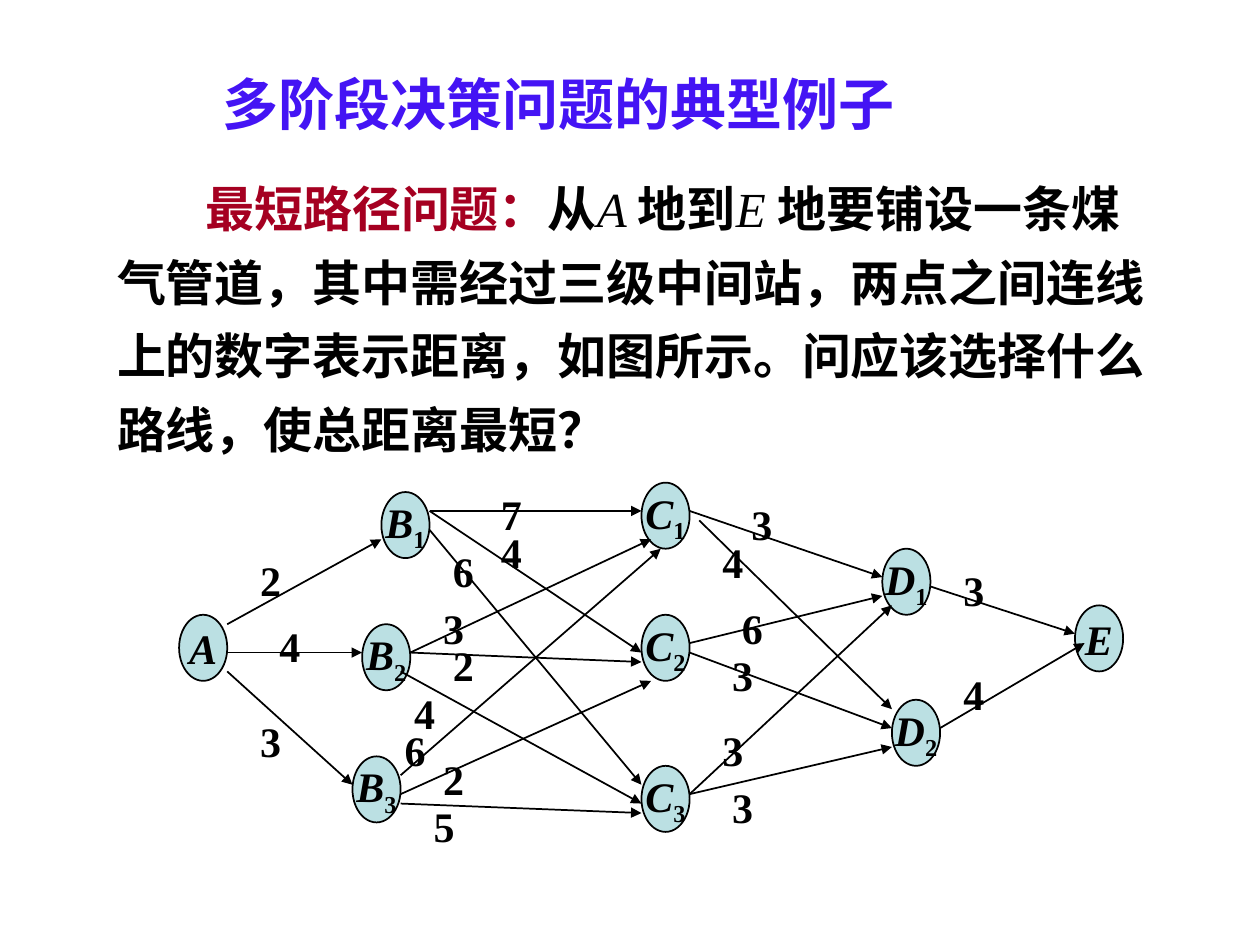
from typing import NamedTuple

from lxml.etree import SubElement
from pptx import Presentation
from pptx.dml.color import RGBColor
from pptx.enum.shapes import MSO_CONNECTOR as Connector, MSO_SHAPE as Preset
from pptx.enum.text import MSO_ANCHOR as Anchor, MSO_AUTO_SIZE as AutoSize, PP_ALIGN as Align
from pptx.oxml.ns import qn
from pptx.util import Cm, Pt

COLORS = {"title": "4414F4", "topic": "A50021", "ink": "000000", "station": "BBE0E3"}
FONT = "Times New Roman"
GRID_LEFT, GRID_TOP = 3.61, 9.73
COLUMN, ROW = 18.06 / 93, 6.66 / 35


class Station(NamedTuple):
    letter: str
    index: str
    column: int
    row: int


class Pipe(NamedTuple):
    start: tuple[int, int]
    end: tuple[int, int]
    distance: str
    label: tuple[int, int]


class Phrase(NamedTuple):
    text: str
    color: str = "ink"
    bold: bool = True
    italic: bool = False


STATIONS = [
    Station("A", "", 0, 14),
    Station("B", "1", 21, 1),
    Station("B", "2", 19, 15),
    Station("B", "3", 18, 29),
    Station("C", "1", 48, 0),
    Station("C", "2", 48, 14),
    Station("C", "3", 48, 30),
    Station("D", "1", 73, 7),
    Station("D", "2", 74, 23),
    Station("E", "", 93, 13),
]
PIPES = [
    Pipe((5, 15), (21, 6), "2", (6, 7)),
    Pipe((5, 18), (19, 18), "4", (8, 14)),
    Pipe((5, 20), (18, 32), "3", (6, 24)),
    Pipe((26, 3), (48, 3), "7", (31, 0)),
    Pipe((26, 3), (48, 18), "4", (31, 4)),
    Pipe((26, 5), (48, 32), "6", (26, 6)),
    Pipe((24, 18), (49, 6), "3", (25, 12)),
    Pipe((24, 18), (48, 19), "2", (26, 16)),
    Pipe((23, 20), (48, 34), "4", (22, 21)),
    Pipe((23, 31), (50, 7), "6", (21, 25)),
    Pipe((23, 33), (49, 21), "2", (25, 28)),
    Pipe((23, 34), (48, 35), "5", (24, 33)),
    Pipe((53, 3), (73, 10), "3", (57, 1)),
    Pipe((54, 4), (74, 24), "4", (54, 5)),
    Pipe((53, 17), (73, 12), "6", (56, 12)),
    Pipe((53, 18), (74, 26), "3", (55, 17)),
    Pipe((53, 33), (74, 13), "3", (54, 25)),
    Pipe((53, 33), (74, 28), "3", (55, 31)),
    Pipe((78, 11), (93, 16), "3", (79, 8)),
    Pipe((79, 26), (94, 17), "4", (79, 19)),
]
TITLE = [Phrase("多阶段决策问题的典型例子", "title")]
PROBLEM = [
    Phrase("最短路径问题：", "topic"),
    Phrase("从"),
    Phrase("A ", bold=False, italic=True),
    Phrase("地到"),
    Phrase("E ", bold=False, italic=True),
    Phrase("地要铺设一条煤气管道，其中需经过三级中间站，两点之间连线上的数字"
           "表示距离，如图所示。问应该选择什么路线，使总距离最短？"),
]


def grid_point(column: int, row: int) -> tuple[Cm, Cm]:
    """Return the slide position of a grid point."""
    return Cm(GRID_LEFT + column * COLUMN), Cm(GRID_TOP + row * ROW)


def write(paragraph, phrases: list[Phrase], size: int) -> None:
    """Add the phrases to a paragraph as formatted runs."""
    for phrase in phrases:
        run = paragraph.add_run()
        run.text = phrase.text
        run.font.name = FONT
        run.font.size = Pt(size)
        run.font.bold = phrase.bold
        run.font.italic = phrase.italic
        run.font.color.rgb = RGBColor.from_string(COLORS[phrase.color])


def draw_text(slide, left: Cm, top: Cm, width: Cm, height: Cm, phrases: list[Phrase], size: int):
    """Draw a wrapping text box and return its paragraph."""
    frame = slide.shapes.add_textbox(left, top, width, height).text_frame
    frame.word_wrap = True
    frame.auto_size = AutoSize.SHAPE_TO_FIT_TEXT
    paragraph = frame.paragraphs[0]
    write(paragraph, phrases, size)
    return paragraph


def draw_station(slide, station: Station) -> None:
    """Draw one station with its subscripted name."""
    oval = slide.shapes.add_shape(
        Preset.OVAL, *grid_point(station.column, station.row), Cm(5 * COLUMN), Cm(7 * ROW))
    oval.shadow.inherit = False
    oval.fill.solid()
    oval.fill.fore_color.rgb = RGBColor.from_string(COLORS["station"])
    oval.line.color.rgb = RGBColor.from_string(COLORS["ink"])
    oval.line.width = Pt(1)
    frame = oval.text_frame
    frame.word_wrap = False
    frame.vertical_anchor = Anchor.MIDDLE
    paragraph = frame.paragraphs[0]
    paragraph.alignment = Align.CENTER
    write(paragraph, [Phrase(station.letter, italic=True)], 24)
    if station.index:
        write(paragraph, [Phrase(station.index)], 24)
        paragraph.runs[-1]._r.get_or_add_rPr().set("baseline", "-25000")


def draw_pipe(slide, pipe: Pipe) -> None:
    """Draw one arrow between two stations."""
    arrow = slide.shapes.add_connector(
        Connector.STRAIGHT, *grid_point(*pipe.start), *grid_point(*pipe.end))
    arrow.line.color.rgb = RGBColor.from_string(COLORS["ink"])
    arrow.line.width = Pt(1)
    properties = arrow._element.spPr
    SubElement(properties.find(qn("a:ln")), qn("a:tailEnd"), type="triangle")
    SubElement(properties, qn("a:effectLst"))


def draw_distance(slide, pipe: Pipe) -> None:
    """Draw the distance written beside a pipe."""
    paragraph = draw_text(
        slide, *grid_point(*pipe.label), Cm(7 * COLUMN), Cm(1.27), [Phrase(pipe.distance)], 24)
    paragraph.alignment = Align.CENTER


def main() -> None:
    """Build the shortest path slide."""
    deck = Presentation()
    deck.slide_width, deck.slide_height = Cm(25.4), Cm(19.05)
    slide = deck.slides.add_slide(deck.slide_layouts[6])
    draw_text(slide, Cm(4.24), Cm(1.27), Cm(18.42), Cm(1.63), TITLE, 32)
    problem = draw_text(slide, Cm(2.11), Cm(3.18), Cm(21.59), Cm(6.2), PROBLEM, 28)
    problem.line_spacing = 1.25
    SubElement(problem._p.get_or_add_pPr(), qn("a:buNone"))
    problem._p.get_or_add_pPr().set("indent", str(Cm(1.78)))
    for station in STATIONS:
        draw_station(slide, station)
    for pipe in PIPES:
        draw_pipe(slide, pipe)
    for pipe in PIPES:
        draw_distance(slide, pipe)
    deck.save("out.pptx")


if __name__ == "__main__":
    main()
